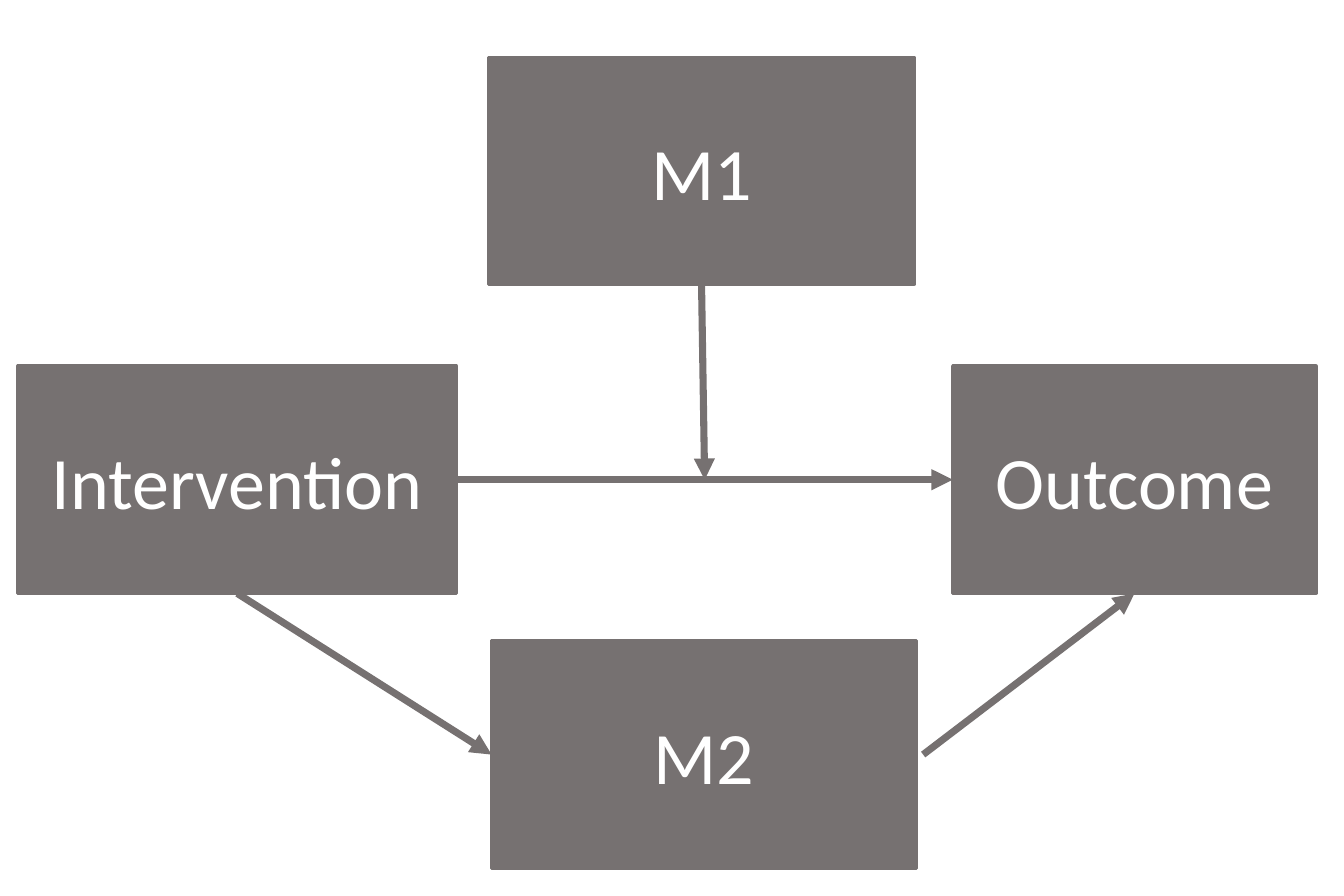
from pptx import Presentation
from pptx.dml.color import RGBColor
from pptx.enum.shapes import MSO_CONNECTOR, MSO_SHAPE
from pptx.enum.text import MSO_ANCHOR, PP_ALIGN
from pptx.oxml.ns import qn
from pptx.util import Cm, Pt
from lxml import etree

RECT = MSO_SHAPE.RECTANGLE
LINE = MSO_CONNECTOR.STRAIGHT
MIDDLE = MSO_ANCHOR.MIDDLE
CENTER = PP_ALIGN.CENTER

GRAY, WHITE = "767171", "FFFFFF"
FONT, SIZE = "Calibri", 23.4
HIGH = 2.54  # height of every box, cm

# label, left, top, width (cm)
BOXES = [
    ("Intervention", 0.2, 4.09, 4.9),
    ("M2", 5.49, 7.16, 4.75),
    ("Outcome", 10.64, 4.09, 4.06),
    ("M1", 5.46, 0.64, 4.75),
]


def color(code):
    """Turn a hex string into a colour."""
    return RGBColor.from_string(code)


def add_box(slide, label, left, top, width):
    """Draw one filled box with its centred label."""
    box = slide.shapes.add_shape(RECT, Cm(left), Cm(top), Cm(width), Cm(HIGH))
    box.shadow.inherit = False
    box.fill.solid()
    box.fill.fore_color.rgb = color(GRAY)
    box.line.color.rgb = color(GRAY)
    box.line.width = Pt(1)
    frame = box.text_frame
    frame.text = label
    frame.vertical_anchor = MIDDLE
    para = frame.paragraphs[0]
    para.alignment = CENTER
    font = para.runs[0].font
    font.name, font.size = FONT, Pt(SIZE)
    font.color.rgb = color(WHITE)


def add_arrow(slide, start, end):
    """Draw a straight arrow between two points."""
    x1, y1, x2, y2 = (Cm(value) for value in start + end)
    arrow = slide.shapes.add_connector(LINE, x1, y1, x2, y2)
    arrow.line.color.rgb = color(GRAY)
    arrow.line.width = Pt(2.25)
    head = etree.SubElement(arrow.line._get_or_add_ln(), qn("a:tailEnd"))
    head.set("type", "triangle")
    etree.SubElement(arrow._element.spPr, qn("a:effectLst"))


def find_sides(left, top, width):
    """Give the middle of a box's left, right and bottom sides."""
    mid = top + HIGH / 2
    return {
        "left": (left, mid),
        "right": (left + width, mid),
        "bottom": (left + width / 2, top + HIGH),
    }


deck = Presentation()
deck.slide_width, deck.slide_height = Cm(15.01), Cm(10.01)
slide = deck.slides.add_slide(deck.slide_layouts[6])

sides = {label: find_sides(*place) for label, *place in BOXES}
cause, effect = sides["Intervention"], sides["Outcome"]
cross = (7.87, effect["left"][1])  # where M1 meets the direct path
gap = 0.07  # space between M2 and its outgoing arrow
m2_x, m2_y = sides["M2"]["right"]

ARROWS = [
    (cause["bottom"], sides["M2"]["left"]),
    (cause["right"], effect["left"]),
    ((m2_x + gap, m2_y), effect["bottom"]),
    (sides["M1"]["bottom"], cross),
]

for box in BOXES:
    add_box(slide, *box)
for start, end in ARROWS:
    add_arrow(slide, start, end)

deck.save("out.pptx")
